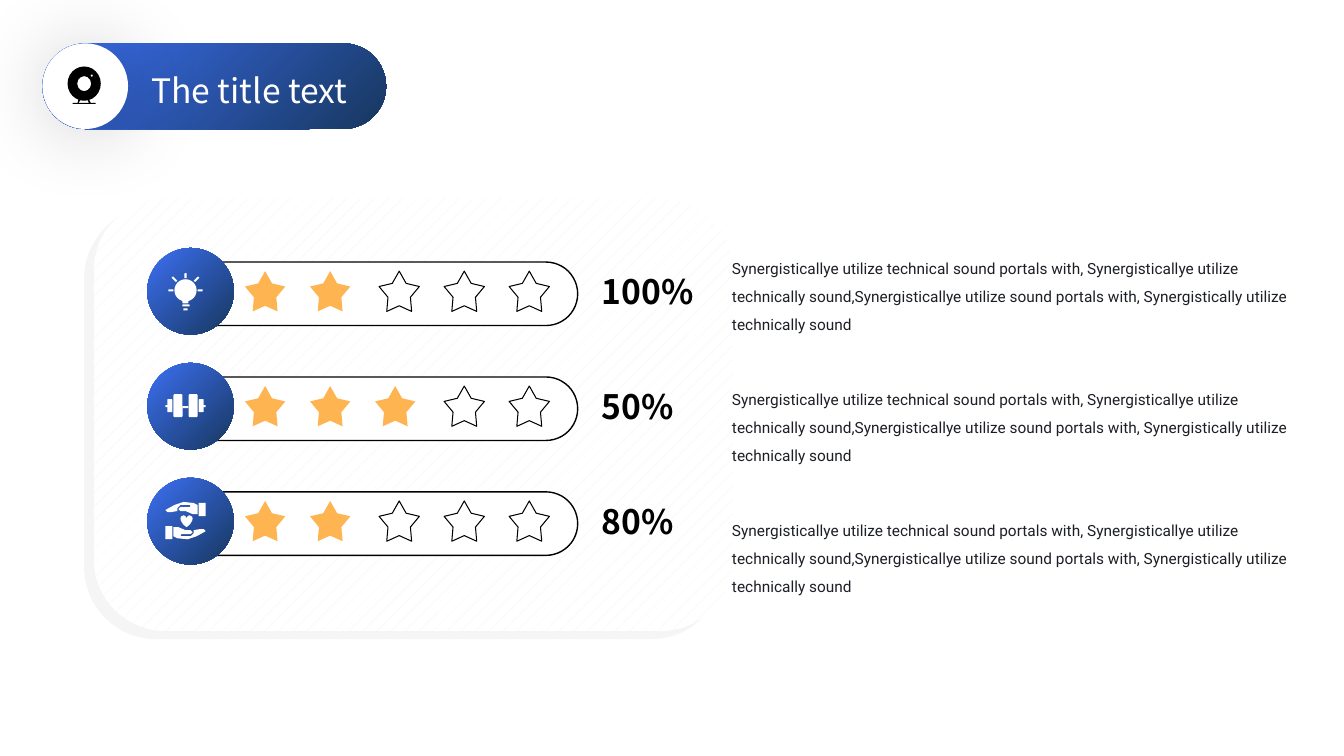
from dataclasses import dataclass

from lxml.etree import SubElement
from pptx import Presentation
from pptx.dml.color import RGBColor
from pptx.enum.dml import MSO_PATTERN
from pptx.enum.shapes import MSO_SHAPE
from pptx.enum.text import MSO_ANCHOR, MSO_AUTO_SIZE, PP_ALIGN
from pptx.oxml.ns import qn
from pptx.util import Inches, Pt


@dataclass(frozen=True)
class Theme:
    white: str = "FFFFFF"
    black: str = "000000"
    ink: str = "1C1F25"
    hatch: str = "F2F2F2"
    star: str = "FFB452"
    gradient: tuple = ("3C70F4", "17375E")
    heading_font: str = "Noto Sans CJK SC"
    body_font: str = "Roboto"
    heading_size: int = 24
    body_size: int = 11


THEME = Theme()
OVAL, BLOCK = MSO_SHAPE.OVAL, MSO_SHAPE.RECTANGLE
ROUND, STAR = MSO_SHAPE.ROUNDED_RECTANGLE, MSO_SHAPE.STAR_5_POINT

TITLE = "The title text"
DESCRIPTION = (
    "Synergisticallye utilize technical sound portals with, Synergisticallye utilize "
    "technically sound,Synergisticallye utilize sound portals with, Synergistically utilize "
    "technically sound"
)
# Icon parts are (preset, left, top, width, height, rotation) from the badge corner.
BULB = [
    (OVAL, 0.27, 0.31, 0.22, 0.22, 0),
    (ROUND, 0.35, 0.49, 0.06, 0.06, 0),
    (ROUND, 0.35, 0.56, 0.07, 0.02, 0),
    (ROUND, 0.36, 0.6, 0.04, 0.02, 0),
    (ROUND, 0.37, 0.25, 0.02, 0.05, 0),
    (ROUND, 0.21, 0.41, 0.05, 0.02, 0),
    (ROUND, 0.5, 0.41, 0.05, 0.02, 0),
    (ROUND, 0.24, 0.3, 0.06, 0.02, 45),
    (ROUND, 0.46, 0.3, 0.06, 0.02, -45),
]
DUMBBELL = [
    (ROUND, 0.18, 0.42, 0.03, 0.02, 0),
    (ROUND, 0.2, 0.36, 0.05, 0.13, 0),
    (ROUND, 0.26, 0.31, 0.09, 0.23, 0),
    (BLOCK, 0.35, 0.43, 0.06, 0.02, 0),
    (ROUND, 0.41, 0.31, 0.09, 0.23, 0),
    (ROUND, 0.51, 0.36, 0.05, 0.13, 0),
    (ROUND, 0.55, 0.42, 0.03, 0.02, 0),
]
CARE = [
    (BLOCK, 0.51, 0.25, 0.07, 0.13, 0),
    (BLOCK, 0.18, 0.48, 0.07, 0.13, 0),
    (MSO_SHAPE.HEART, 0.33, 0.37, 0.12, 0.12, 0),
]
UPPER_HAND = [
    (0.18, 0.32), (0.27, 0.27), (0.36, 0.24), (0.46, 0.25), (0.5, 0.27), (0.5, 0.36),
    (0.45, 0.36), (0.38, 0.33), (0.33, 0.33), (0.31, 0.31), (0.33, 0.29), (0.42, 0.29),
    (0.43, 0.28), (0.42, 0.27), (0.33, 0.27), (0.3, 0.3), (0.3, 0.33), (0.24, 0.34),
    (0.2, 0.34),
]
LOWER_HAND = [(0.76 - x, 0.85 - y) for x, y in UPPER_HAND]
CAMERA_LEGS = [
    [(0.78, 0.98), (0.8, 0.99), (0.78, 1.02), (0.77, 1.02)],
    [(0.87, 0.99), (0.88, 0.98), (0.9, 1.02), (0.88, 1.02)],
]
# (score, filled stars, icon parts, icon outlines)
RATINGS = [
    ("100%", 2, BULB, []),
    ("50%", 3, DUMBBELL, []),
    ("80%", 2, CARE, [UPPER_HAND, LOWER_HAND]),
]
STAR_COUNT, STAR_STEP = 5, 0.645
ROW_TOP, ROW_STEP = 2.46, 1.14
DESCRIPTION_TOP, DESCRIPTION_STEP = 2.48, 1.3
BADGE_LEFT = 1.46


def color(value):
    return RGBColor.from_string(value)


def paint(shape, fill=None, line=None, width=1):
    """Fill with one colour, a pair as a diagonal gradient, or nothing."""
    shape.shadow.inherit = False
    if fill is None:
        shape.fill.background()
    elif isinstance(fill, tuple):
        shape.fill.gradient()
        shape.fill.gradient_angle = 315
        for stop, shade in zip(shape.fill.gradient_stops, fill):
            stop.color.rgb = color(shade)
    else:
        shape.fill.solid()
        shape.fill.fore_color.rgb = color(fill)
    if line:
        shape.line.color.rgb = color(line)
        shape.line.width = Pt(width)
    else:
        shape.line.fill.background()


def draw(page, preset, left, top, width, height, fill=None, line=None, weight=1, adjust=None):
    shape = page.shapes.add_shape(preset, *map(Inches, (left, top, width, height)))
    if adjust is not None:
        shape.adjustments[0] = adjust
    paint(shape, fill, line, weight)
    return shape


def draw_outline(page, points, fill, left=0, top=0):
    corners = [(Inches(left + x), Inches(top + y)) for x, y in points]
    builder = page.shapes.build_freeform(*corners[0])
    builder.add_line_segments(corners[1:])
    paint(builder.convert_to_shape(), fill)


def cast_shadow(shape, opacity, blur, distance, angle):
    effects = shape.element.spPr.find(qn("a:effectLst"))
    shadow = SubElement(effects, qn("a:outerShdw"), blurRad=str(Pt(blur)), dist=str(Pt(distance)),
                        dir=str(angle * 60000), algn="ctr", rotWithShape="0")
    tint = SubElement(shadow, qn("a:srgbClr"), val=THEME.black)
    SubElement(tint, qn("a:alpha"), val=str(opacity * 1000))


def write(box, text, font, size, shade, bold=False):
    frame = box.text_frame
    frame.text = text
    frame.auto_size = MSO_AUTO_SIZE.SHAPE_TO_FIT_TEXT
    para = frame.paragraphs[0]
    para.font.name, para.font.size, para.font.bold = font, Pt(size), bold
    para.font.color.rgb = color(shade)
    return frame, para


def add_text(page, left, top, width, height, *style):
    box = page.shapes.add_textbox(*map(Inches, (left, top, width, height)))
    frame, para = write(box, *style)
    frame.margin_left = frame.margin_right = frame.margin_top = frame.margin_bottom = 0
    return frame, para


def add_card(page):
    card = draw(page, ROUND, 0.93, 1.97, 6.34, 4.29, THEME.white)
    card.fill.patterned()
    card.fill.pattern = MSO_PATTERN.PERCENT_5
    card.fill.fore_color.rgb = color(THEME.hatch)
    card.fill.back_color.rgb = color(THEME.white)
    cast_shadow(card, 4, 0, 9, 140)


def add_rating(page, top, score, filled, parts, outlines):
    draw(page, ROUND, 1.8, top + 0.14, 3.93, 0.63, THEME.white, THEME.black, adjust=0.5)
    draw(page, OVAL, BADGE_LEFT, top, 0.86, 0.86, THEME.gradient)
    for index in range(STAR_COUNT):
        on = index < filled
        left = (2.43 if on else 2.47) + index * STAR_STEP
        draw(page, STAR, left, top + 0.23, 0.4, 0.4, THEME.star if on else None,
             None if on else THEME.black, 0.75, adjust=0.278)
    for preset, x, y, width, height, turn in parts:
        part = draw(page, preset, BADGE_LEFT + x, top + y, width, height, THEME.white)
        part.rotation = turn
    for points in outlines:
        draw_outline(page, points, THEME.white, BADGE_LEFT, top)
    frame, _ = add_text(page, 5.97, top + 0.23, 0.13 + 0.2 * len(score), 0.4, score,
                        THEME.heading_font, THEME.heading_size, THEME.black, True)
    frame.vertical_anchor = MSO_ANCHOR.MIDDLE
    frame.word_wrap = False


def add_header(page):
    draw(page, ROUND, 0.42, 0.43, 3.41, 0.85, THEME.gradient, adjust=0.5)
    disc = draw(page, OVAL, 0.42, 0.43, 0.85, 0.85, THEME.white)
    cast_shadow(disc, 20, 59, 3, 45)
    draw(page, MSO_SHAPE.DONUT, 0.67, 0.66, 0.33, 0.34, THEME.black, adjust=0.29)
    draw(page, OVAL, 0.9, 0.74, 0.02, 0.02, THEME.white)
    draw(page, BLOCK, 0.72, 1.02, 0.23, 0.01, THEME.black)
    for leg in CAMERA_LEGS:
        draw_outline(page, leg, THEME.black)
    title = page.shapes.title
    title.left, title.top, title.width, title.height = map(Inches, (1.4, 0.64, 2.36, 0.5))
    frame, para = write(title, TITLE, THEME.heading_font, THEME.heading_size, THEME.white)
    frame.vertical_anchor = MSO_ANCHOR.TOP
    para.alignment = PP_ALIGN.JUSTIFY
    title.element.getparent().append(title.element)


def main():
    deck = Presentation()
    deck.slide_width, deck.slide_height = Inches(13.33), Inches(7.5)
    page = deck.slides.add_slide(deck.slide_layouts[5])
    add_card(page)
    for index, rating in enumerate(RATINGS):
        add_rating(page, ROW_TOP + index * ROW_STEP, *rating)
    add_header(page)
    for index in range(len(RATINGS)):
        frame, para = add_text(page, 7.26, DESCRIPTION_TOP + index * DESCRIPTION_STEP, 5.61, 1.07,
                               DESCRIPTION, THEME.body_font, THEME.body_size, THEME.ink)
        frame.word_wrap = True
        para.line_spacing = 1.5
    deck.save("out.pptx")


if __name__ == "__main__":
    main()
